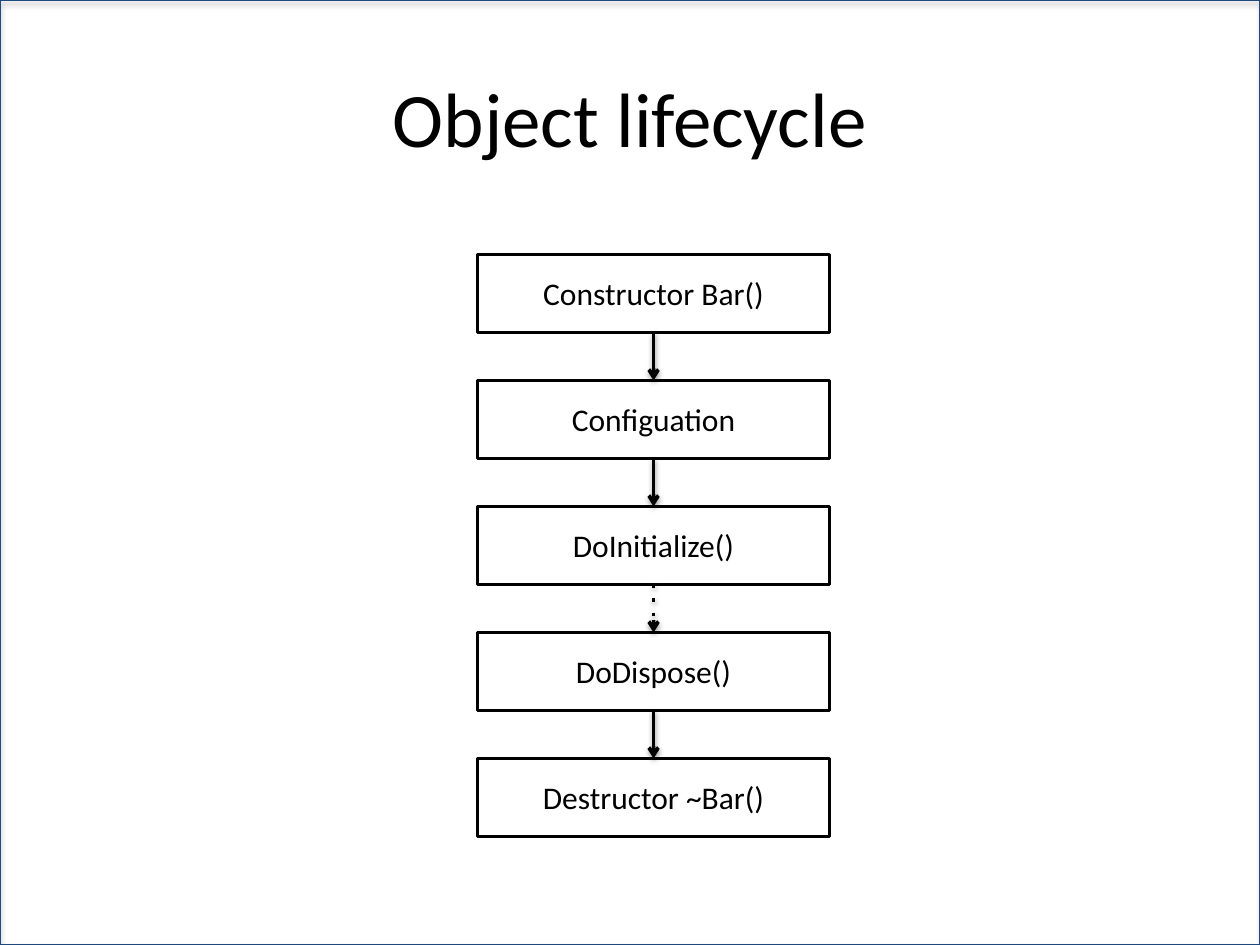
import lxml.etree
import pptx
import pptx.dml.color
import pptx.enum.dml
import pptx.enum.shapes
import pptx.enum.text
import pptx.oxml
import pptx.oxml.ns
import pptx.util

Cm = pptx.util.Cm
Pt = pptx.util.Pt
MSO_SHAPE = pptx.enum.shapes.MSO_SHAPE


def rgb(value):
    return pptx.dml.color.RGBColor.from_string(value)


def add_shadow(sp, distance, opacity):
    """Cast a soft black shadow downwards; call once the line is set."""
    sp._element.spPr.append(pptx.oxml.parse_xml(
        f'<a:effectLst {pptx.oxml.ns.nsdecls("a")}>'
        f'<a:outerShdw blurRad="{Pt(3.1)}" dist="{Pt(distance)}" dir="5400000" rotWithShape="0">'
        f'<a:srgbClr val="000000"><a:alpha val="{opacity * 1000}"/></a:srgbClr>'
        '</a:outerShdw></a:effectLst>'))


prs = pptx.Presentation()
prs.slide_width = Cm(25.4)
prs.slide_height = Cm(19.05)
s = prs.slides.add_slide(prs.slide_layouts[6])
s.background.fill.solid()
s.background.fill.fore_color.rgb = rgb("FFFFFF")

# Thin frame around the slide
frame = s.shapes.add_shape(MSO_SHAPE.FRAME, 0, 0, prs.slide_width, prs.slide_height)
frame.adjustments[0] = 0
frame.fill.solid()
frame.fill.fore_color.rgb = rgb("264A59")
frame.line.color.rgb = rgb("1F497D")
frame.line.width = Pt(0.75)
add_shadow(frame, 1.8, 35)

title = s.shapes.add_textbox(Cm(1.27), Cm(0.76), Cm(22.86), Cm(3.18))
texts = [(title, "Object lifecycle", 44)]

# Lifecycle steps, one below the other
steps = ["Constructor Bar()", "Configuation", "DoInitialize()", "DoDispose()", "Destructor ~Bar()"]
left, top, width, height, pitch = 9.63, 5.13, 7.09, 1.57, 2.54
for i, step in enumerate(steps):
    sp = s.shapes.add_shape(MSO_SHAPE.RECTANGLE, Cm(left), Cm(top + i * pitch), Cm(width), Cm(height))
    sp.shadow.inherit = False
    sp.fill.solid()
    sp.fill.fore_color.rgb = rgb("FFFFFF")
    sp.line.color.rgb = rgb("000000")
    sp.line.width = Pt(2)
    texts.append((sp, step, 18))

for sp, text, size in texts:
    tf = sp.text_frame
    tf.text = text
    tf.word_wrap = True
    tf.vertical_anchor = pptx.enum.text.MSO_ANCHOR.MIDDLE
    p = tf.paragraphs[0]
    p.alignment = pptx.enum.text.PP_ALIGN.CENTER
    r = p.runs[0]
    r.font.name = "Calibri"
    r.font.size = Pt(size)
    r.font.color.rgb = rgb("000000")

# Arrows between steps; the object's working life is dotted
center = Cm(left + width / 2)
for i, step in enumerate(steps[:-1]):
    y = top + i * pitch
    arrow = s.shapes.add_connector(pptx.enum.shapes.MSO_CONNECTOR.STRAIGHT,
                                   center, Cm(y + height), center, Cm(y + pitch))
    arrow.line.color.rgb = rgb("000000")
    arrow.line.width = Pt(2)
    if step == "DoInitialize()":
        arrow.line.dash_style = pptx.enum.dml.MSO_LINE.SQUARE_DOT
        arrow.line._ln.find(pptx.oxml.ns.qn("a:prstDash")).set("val", "dot")
    lxml.etree.SubElement(arrow.line._ln, pptx.oxml.ns.qn("a:tailEnd"), type="arrow")
    add_shadow(arrow, 1.6, 38)

prs.save("out.pptx")
